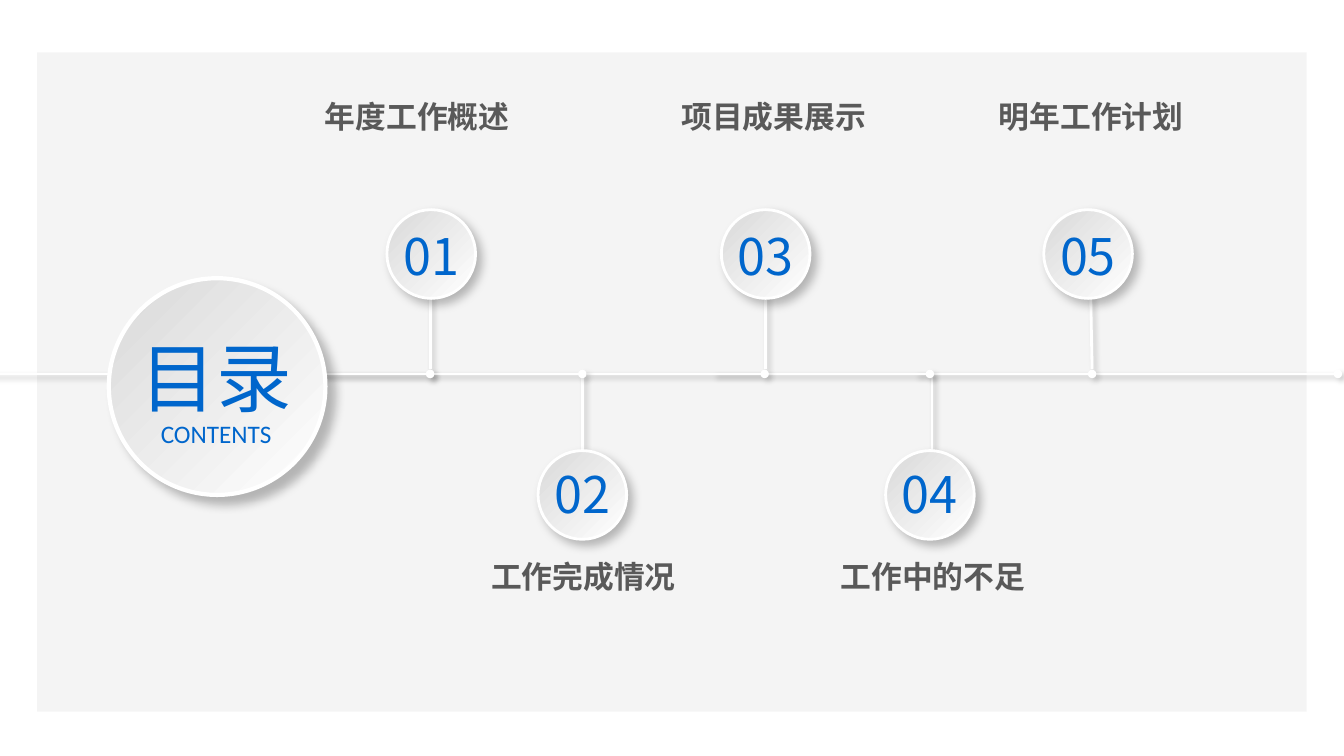
from dataclasses import dataclass

from lxml.etree import SubElement
from pptx import Presentation
from pptx.dml.color import RGBColor
from pptx.enum.shapes import MSO_CONNECTOR, MSO_SHAPE
from pptx.enum.text import MSO_ANCHOR, MSO_AUTO_SIZE, PP_ALIGN
from pptx.oxml.ns import qn
from pptx.util import Inches, Pt


@dataclass(frozen=True)
class Shade:
    alpha: int
    blur: float
    gap: float


@dataclass(frozen=True)
class Theme:
    panel: str = "F2F2F2"
    white: str = "FFFFFF"
    grey: str = "D9D9D9"
    blue: str = "0066CC"
    dark: str = "595959"
    black: str = "000000"
    font: str = "Noto Sans CJK SC"
    latin: str = "Calibri"
    title: int = 54
    number: int = 36
    label: int = 22
    sub: int = 18
    soft: Shade = Shade(20, 4, 3)
    small: Shade = Shade(25, 7, 5)
    large: Shade = Shade(25, 7, 8)


@dataclass(frozen=True)
class Style:
    size: int
    color: str
    font: str
    bold: bool = False


@dataclass(frozen=True)
class Stop:
    number: str
    label: str
    stem: float
    tip: float
    left: float
    middle: float
    width: float
    above: bool


@dataclass(frozen=True)
class Span:
    start: float
    end: float


THEME = Theme()
AXIS = 3.71
DISC = 0.88
STOPS = (
    Stop("01", "年度工作概述", 4.27, 4.27, 3.84, 4.14, 2.65, True),
    Stop("02", "工作完成情况", 5.78, 5.78, 5.34, 5.79, 2.95, False),
    Stop("03", "项目成果展示", 7.6, 7.6, 7.16, 7.68, 3.44, True),
    Stop("04", "工作中的不足", 9.25, 9.25, 8.79, 9.26, 3.15, False),
    Stop("05", "明年工作计划", 10.84, 10.82, 10.36, 10.83, 3.44, True),
)
SPANS = (
    Span(-0.55, 4.27),
    Span(10.85, 13.28),
    Span(9.09, 10.84),
    Span(7.08, 9.23),
    Span(5.83, 7.59),
    Span(4.27, 5.78),
    Span(2.52, 4.27),
)


def rgb(color: str) -> RGBColor:
    return RGBColor.from_string(color)


def add_shade(shape, shade: Shade) -> None:
    effects = SubElement(shape._element.spPr, qn("a:effectLst"))
    outer = SubElement(
        effects, qn("a:outerShdw"), blurRad=str(Pt(shade.blur)),
        dist=str(Pt(shade.gap)), dir=str(45 * 60000), algn="tl", rotWithShape="0",
    )
    color = SubElement(outer, qn("a:srgbClr"), val=THEME.black)
    SubElement(color, qn("a:alpha"), val=str(shade.alpha * 1000))


def add_line(slide, x1: float, y1: float, x2: float, y2: float) -> None:
    line = slide.shapes.add_connector(
        MSO_CONNECTOR.STRAIGHT, Inches(x1), Inches(y1), Inches(x2), Inches(y2)
    )
    line.line.color.rgb = rgb(THEME.white)
    line.line.width = Pt(2)
    SubElement(line.line._get_or_add_ln(), qn("a:tailEnd"), type="oval")
    add_shade(line, THEME.soft)


def add_disc(slide, left: float, top: float, size: float, width: int, shade: Shade) -> None:
    disc = slide.shapes.add_shape(
        MSO_SHAPE.OVAL, Inches(left), Inches(top), Inches(size), Inches(size)
    )
    disc.fill.gradient()
    disc.fill.gradient_angle = 315
    for stop, color, place in zip(
        disc.fill.gradient_stops, (THEME.grey, THEME.white), (0, 1)
    ):
        stop.color.rgb = rgb(color)
        stop.position = place
    disc.line.color.rgb = rgb(THEME.white)
    disc.line.width = Pt(width)
    add_shade(disc, shade)


def set_text(shape, text: str, style: Style) -> None:
    frame = shape.text_frame
    frame.word_wrap = True
    frame.auto_size = MSO_AUTO_SIZE.SHAPE_TO_FIT_TEXT
    frame.vertical_anchor = MSO_ANCHOR.TOP
    para = frame.paragraphs[0]
    para.alignment = PP_ALIGN.CENTER
    run = para.add_run()
    run.text = text
    run.font.size = Pt(style.size)
    run.font.bold = style.bold
    run.font.color.rgb = rgb(style.color)
    run.font.name = style.font
    SubElement(run._r.get_or_add_rPr(), qn("a:ea"), typeface=style.font)


def add_text(
    slide, left: float, top: float, width: float, height: float, text: str, style: Style
) -> None:
    box = slide.shapes.add_textbox(
        Inches(left), Inches(top), Inches(width), Inches(height)
    )
    set_text(box, text, style)


def add_panel(slide) -> None:
    panel = slide.shapes.add_shape(
        MSO_SHAPE.RECTANGLE, Inches(0.37), Inches(0.52), Inches(12.6), Inches(6.54)
    )
    panel.shadow.inherit = False
    panel.fill.solid()
    panel.fill.fore_color.rgb = rgb(THEME.panel)
    color = panel._element.spPr.find(qn("a:solidFill"))[0]
    SubElement(color, qn("a:alpha"), val="78000")
    panel.line.fill.background()


def add_stem(slide, stop: Stop) -> None:
    start, end = (3.66, 2.62) if stop.above else (AXIS, 4.75)
    add_line(slide, stop.stem, start, stop.tip, end)


def add_stop(slide, stop: Stop) -> None:
    disc, number, label = (2.08, 2.18, 0.92) if stop.above else (4.47, 4.54, 5.48)
    add_disc(slide, stop.left, disc, DISC, 2, THEME.small)
    add_text(slide, stop.left + 0.04, number, 0.8, 0.71, stop.number,
             Style(THEME.number, THEME.blue, THEME.font))
    add_text(slide, stop.middle - stop.width / 2, label, stop.width, 0.47, stop.label,
             Style(THEME.label, THEME.dark, THEME.font, True))


def add_title(slide) -> None:
    add_disc(slide, 1.08, 2.76, 2.15, 3, THEME.large)
    title = slide.shapes.title
    title.left, title.top = Inches(1.17), Inches(3.23)
    title.width, title.height = Inches(1.95), Inches(1.01)
    set_text(title, "目录", Style(THEME.title, THEME.blue, THEME.font))
    slide.shapes._spTree.append(title._element)
    add_text(slide, 1.39, 4.1, 1.51, 0.4, "CONTENTS",
             Style(THEME.sub, THEME.blue, THEME.latin))


def main() -> None:
    deck = Presentation()
    deck.slide_width, deck.slide_height = Inches(13.34), Inches(7.5)
    slide = deck.slides.add_slide(deck.slide_layouts[5])
    add_panel(slide)
    for stop in STOPS:
        add_stem(slide, stop)
    for span in SPANS:
        add_line(slide, span.start, AXIS, span.end, AXIS)
    add_title(slide)
    for stop in STOPS:
        add_stop(slide, stop)
    deck.save("out.pptx")


if __name__ == "__main__":
    main()
